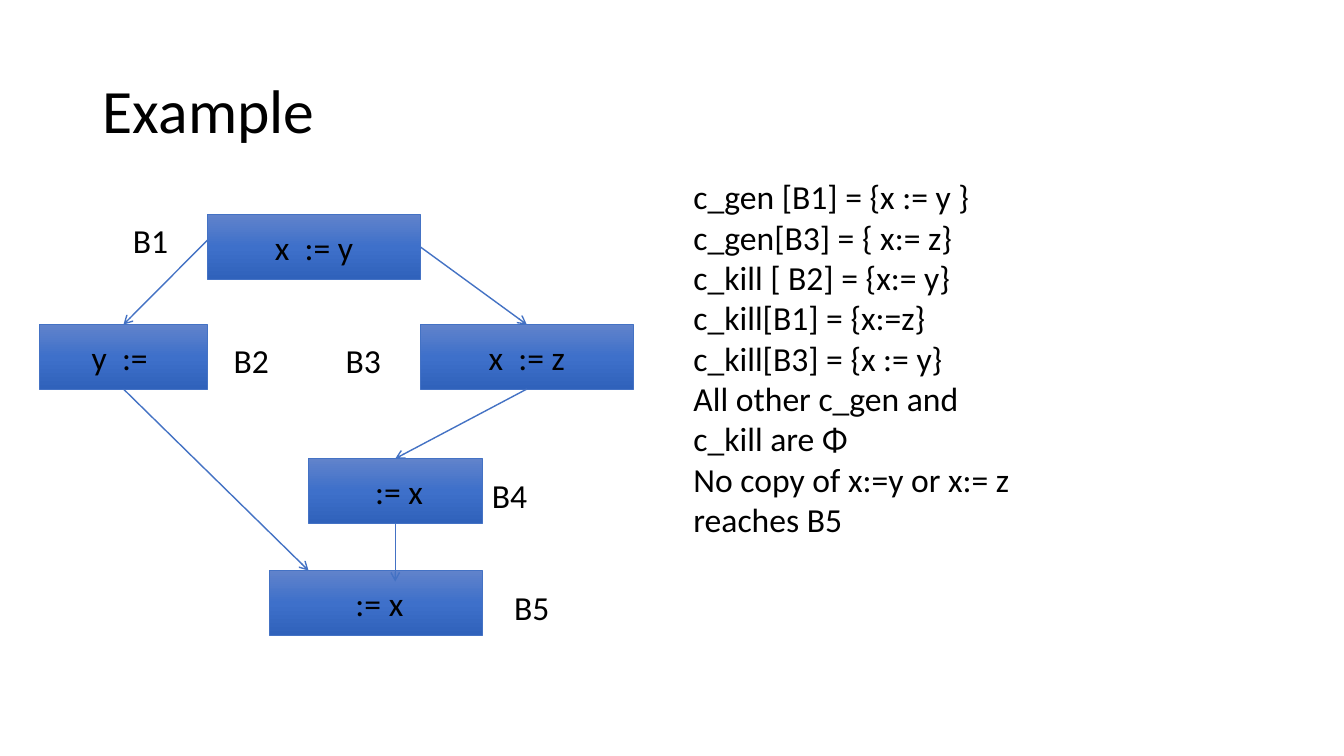
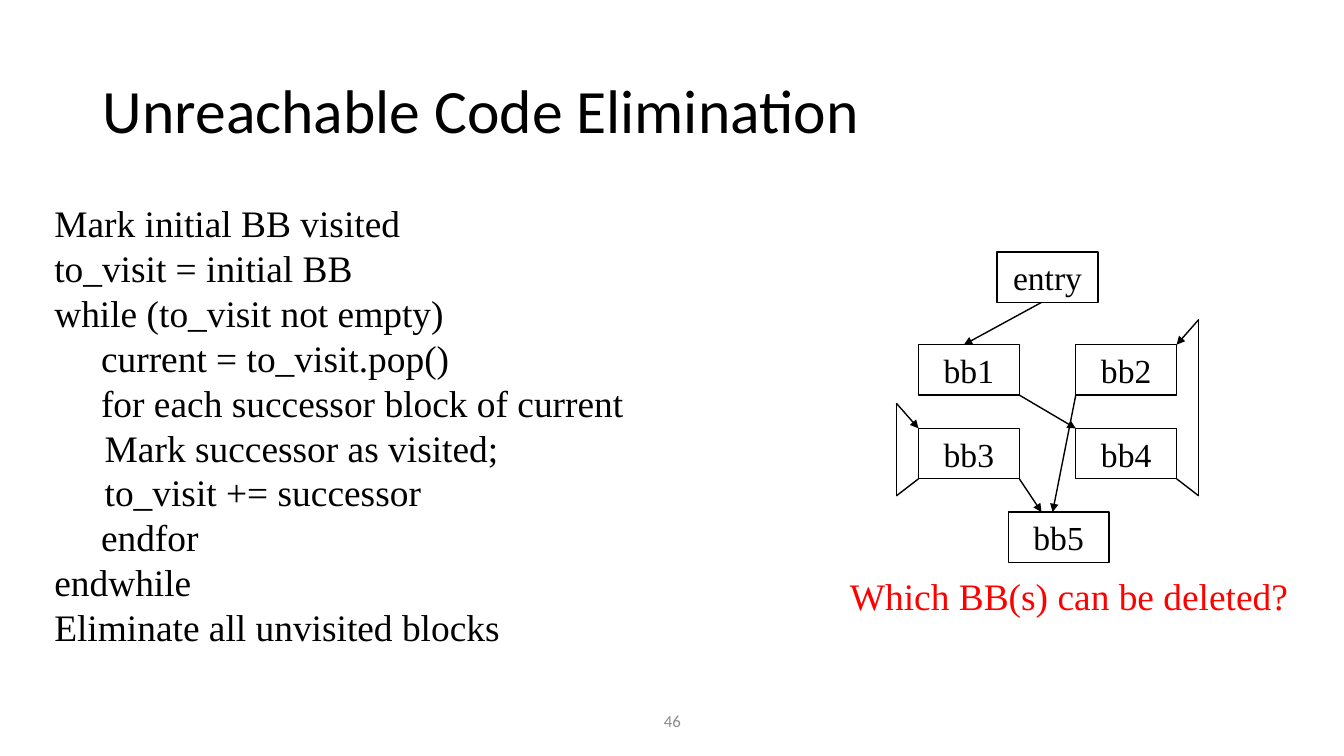
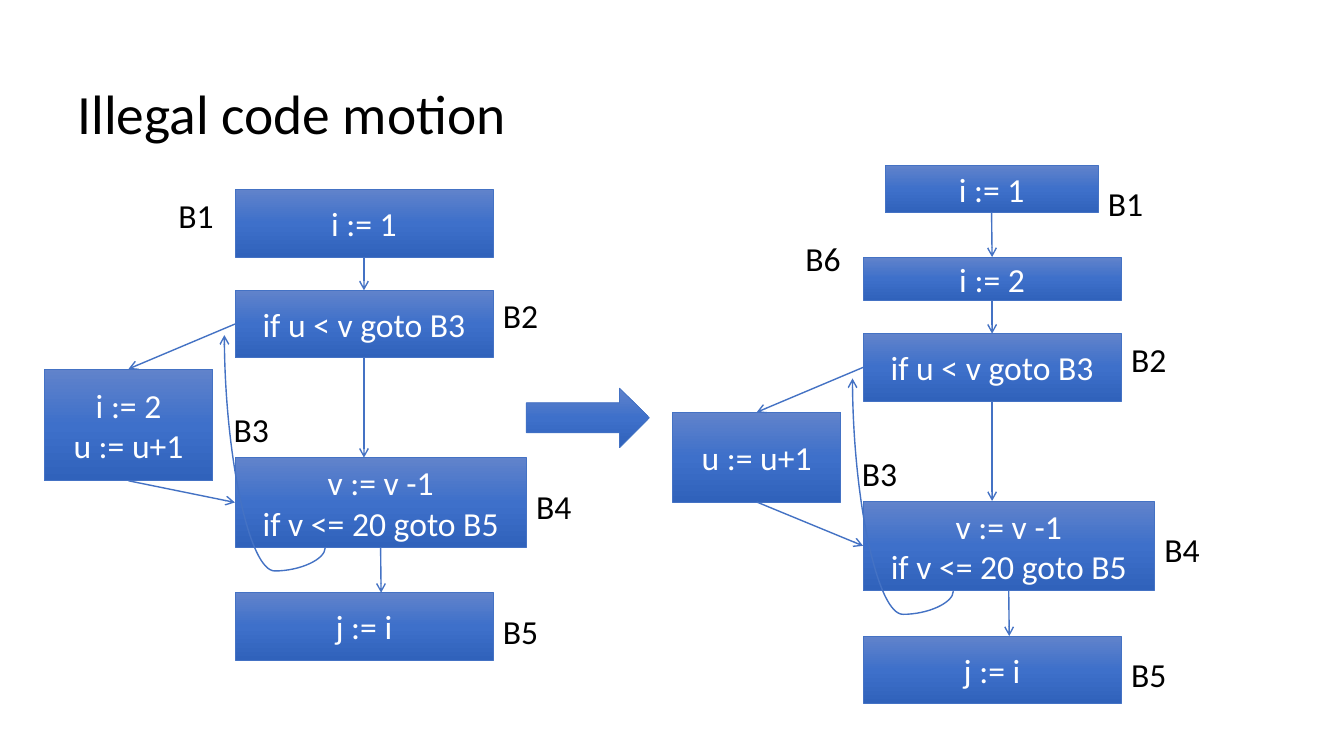
from copy import deepcopy
from lxml import etree
from pptx import Presentation
from pptx import util as u
from pptx.dml.color import RGBColor
from pptx.enum import shapes, text
from pptx.oxml.ns import qn

rgb = RGBColor.from_string
BLACK, WHITE, BLUE, RED, GREY = "000000", "FFFFFF", "4472C4", "FF0000", "8C8C8C"
SHADE = [(0, "6183CB"), (0.5, "3E70CA"), (1, "3062BB")]
SERIF = "Times New Roman"
RECT = shapes.MSO_SHAPE.RECTANGLE
ARROW = shapes.MSO_SHAPE.RIGHT_ARROW
LEFT, MID = text.PP_ALIGN.LEFT, text.PP_ALIGN.CENTER
TOP, HALF = text.MSO_ANCHOR.TOP, text.MSO_ANCHOR.MIDDLE


def put(sl, txt, at, kind=None, size=24, font="Calibri", color=BLACK,
        align=LEFT, anchor=TOP, wrap=True, space=None, shade=True):
    pos = [u.Inches(n) for n in at]
    if kind is None:
        box = sl.shapes.add_textbox(*pos)
    elif kind == "title":
        box = sl.shapes.title
        box.left, box.top, box.width, box.height = pos
    else:
        box = sl.shapes.add_shape(kind, *pos)
        box.shadow.inherit = False
        align, anchor = MID, HALF
        box.line.color.rgb = rgb(BLUE if shade else BLACK)
        box.line.width = u.Pt(0.5 if shade else 1)
        if shade:
            box.fill.gradient()
            box.fill.gradient_angle = 270
            stops = box.element.spPr.find(".//" + qn("a:gsLst"))
            stops.insert(1, deepcopy(stops[0]))
            for stop, (place, tone) in zip(box.fill.gradient_stops, SHADE):
                stop.position = place
                stop.color.rgb = rgb(tone)
        else:
            box.fill.background()
    frame = box.text_frame
    frame.word_wrap = wrap
    frame.vertical_anchor = anchor
    if txt:
        frame.text = txt
    for par in frame.paragraphs:
        par.alignment = align
        if space:
            par.line_spacing = space
        for run in par.runs:
            run.font.size = u.Pt(size)
            run.font.name = font
            run.font.color.rgb = rgb(color)
    return box


def link(sl, start, end, color=BLUE, head="arrow", kind=shapes.MSO_CONNECTOR.STRAIGHT):
    ends = [(0, 0) if hasattr(e[0], "text_frame") else e for e in (start, end)]
    line = sl.shapes.add_connector(kind, *[u.Inches(n) for e in ends for n in e])
    if hasattr(start[0], "text_frame"):
        line.begin_connect(*start)
    if hasattr(end[0], "text_frame"):
        line.end_connect(*end)
    line.line.color.rgb = rgb(color)
    line.line.width = u.Pt(1)
    props = line._element.spPr
    if head:
        etree.SubElement(props.find(qn("a:ln")), qn("a:tailEnd"), type=head)
    etree.SubElement(props, qn("a:effectLst"))
    return line


deck = Presentation()
deck.slide_width, deck.slide_height = u.Inches(13.33), u.Inches(7.5)
wide = (0.92, 0.4, 11.5, 1.45)
heads = [
    ("Example", wide, 44),
    ("Unreachable Code Elimination", wide, 44),
    ("Illegal code motion", (0.67, 0.7, 12, 0.91), 39.6),
]
for name, at, size in heads:
    sl = deck.slides.add_slide(deck.slide_layouts[5])
    put(sl, name, at, kind="title", size=size, anchor=HALF, space=0.9)
flow, dead, move = deck.slides

nodes = {}
for key, txt, x, y, w in [
    ("B1", "x  := y", 2.06, 2.13, 2.11),
    ("B4", " := x", 3.06, 4.55, 1.72),
    ("B3", "x  := z", 4.17, 3.22, 2.11),
    ("B2", "y  := ", 0.39, 3.22, 1.67),
    ("B5", " := x", 2.67, 5.66, 2.11),
]:
    nodes[key] = put(flow, txt, (x, y, w, 0.64), kind=RECT)
for key, x, y in [("B1", 1.22, 2.13), ("B3", 3.33, 3.32), ("B2", 2.22, 3.32),
                  ("B4", 4.78, 4.66), ("B5", 5, 5.77)]:
    put(flow, key, (x, y, 0.83, 0.5))
for start, end in [
    ((2.06, 2.38), (nodes["B2"], 0)),
    ((nodes["B1"], 3), (nodes["B3"], 0)),
    ((nodes["B2"], 2), (3.06, 5.66)),
    ((nodes["B3"], 2), (nodes["B4"], 0)),
    ((nodes["B4"], 2), (3.92, 5.77)),
]:
    link(flow, start, end)
facts = """c_gen [B1] = {x := y }
c_gen[B3] = { x:= z}
c_kill [ B2] = {x:= y}
c_kill[B1] = {x:=z}
c_kill[B3] = {x := y}
All other c_gen and c_kill are Φ
No copy of x:=y or x:= z reaches B5"""
put(flow, facts, (6.78, 1.7, 3.56, 3.74))

code = """Mark initial BB visited
to_visit = initial BB
while (to_visit not empty)
     current = to_visit.pop()
     for each successor block of current
\tMark successor as visited;
\tto_visit += successor
     endfor
endwhile
Eliminate all unvisited blocks"""
put(dead, "46", (4.42, 6.95, 4.5, 0.4), size=12, color=GREY, align=MID, anchor=HALF)
put(dead, code, (0.44, 1.94, 5.9, 4.59), size=26.7, font=SERIF, wrap=False)
for txt, x, y in [("entry", 9.89, 2.5), ("bb1", 9.11, 3.42), ("bb2", 10.67, 3.42),
                  ("bb3", 9.11, 4.25), ("bb4", 10.67, 4.25), ("bb5", 10, 5.08)]:
    put(dead, txt, (x, y, 1, 0.5), kind=RECT, font=SERIF, wrap=False, shade=False)
for route in [
    [(10.33, 3), (9.56, 3.42)],
    [(11.67, 4.75), (11.89, 4.92), (11.89, 3.17), (11.67, 3.42)],
    [(10.11, 3.92), (10.67, 4.25)],
    [(10.67, 3.92), (10.44, 5.08)],
    [(10.11, 4.75), (10.33, 5.08)],
    [(9.11, 4.75), (8.89, 4.92), (8.89, 4), (9.11, 4.25)],
]:
    for start, end in zip(route, route[1:]):
        link(dead, start, end, color=BLACK, head="triangle" if end == route[-1] else None)
put(dead, "Which BB(s) can be deleted?", (8.33, 5.64, 4.59, 0.55),
    size=26.7, font=SERIF, color=RED, wrap=False)

tests = []
for dx, dy, side, tall in [(0, 0, "i := 2\nu := u+1", 1.11), (6.23, 0.43, "u := u+1", 0.89)]:
    test, last, loop, body = [
        put(move, txt, (x + dx, y + dy, w, h), kind=RECT, color=WHITE)
        for txt, x, y, w, h in [
            ("if u < v goto B3", 2.33, 2.88, 2.56, 0.67),
            ("j := i", 2.33, 5.88, 2.56, 0.67),
            ("v := v -1\nif v <= 20 goto B5", 2.33, 4.54, 2.89, 0.89),
            (side, 0.44, 3.66, 1.67, tall),
        ]
    ]
    tests.append(test)
    for start, end in [
        ((test, 2), (3.61 + dx, 4.54 + dy)),
        ((test, 1), (body, 0)),
        ((loop, 2), (3.78 + dx, 5.88 + dy)),
        ((body, 2), (loop, 1)),
    ]:
        link(move, start, end)
    for key, x, y in [("B2", 4.89, 2.88), ("B3", 2.22, 4.01), ("B4", 5.22, 4.77), ("B5", 4.89, 6.01)]:
        put(move, key, (x + dx, y + dy, 0.67, 0.5))
    back = link(move, (1.67 + dx, 4.88 + dy), (3.78 + dx, 3.88 + dy),
                kind=shapes.MSO_CONNECTOR.CURVE)
    props = back._element.spPr
    props.find(qn("a:xfrm")).set("rot", "16200000")
    bend = props.find(qn("a:prstGeom")).find(qn("a:avLst"))
    etree.SubElement(bend, qn("a:gd"), name="adj1", fmla="val -10900")

first, init, hoist = [
    put(move, txt, at, kind=RECT, color=WHITE)
    for txt, at in [
        ("i := 1", (2.33, 1.88, 2.56, 0.67)),
        ("i := 1", (8.78, 1.64, 2.11, 0.47)),
        ("i := 2", (8.56, 2.55, 2.56, 0.43)),
    ]
]
for start, end in [(first, tests[0]), (init, hoist), (hoist, tests[1])]:
    link(move, (start, 2), (end, 0))
for key, x, y in [("B1", 1.67, 1.88), ("B6", 7.89, 2.31), ("B1", 10.89, 1.77)]:
    put(move, key, (x, y, 0.67, 0.5))
put(move, "", (5.22, 3.85, 1.22, 0.59), kind=ARROW)

deck.save("out.pptx")
